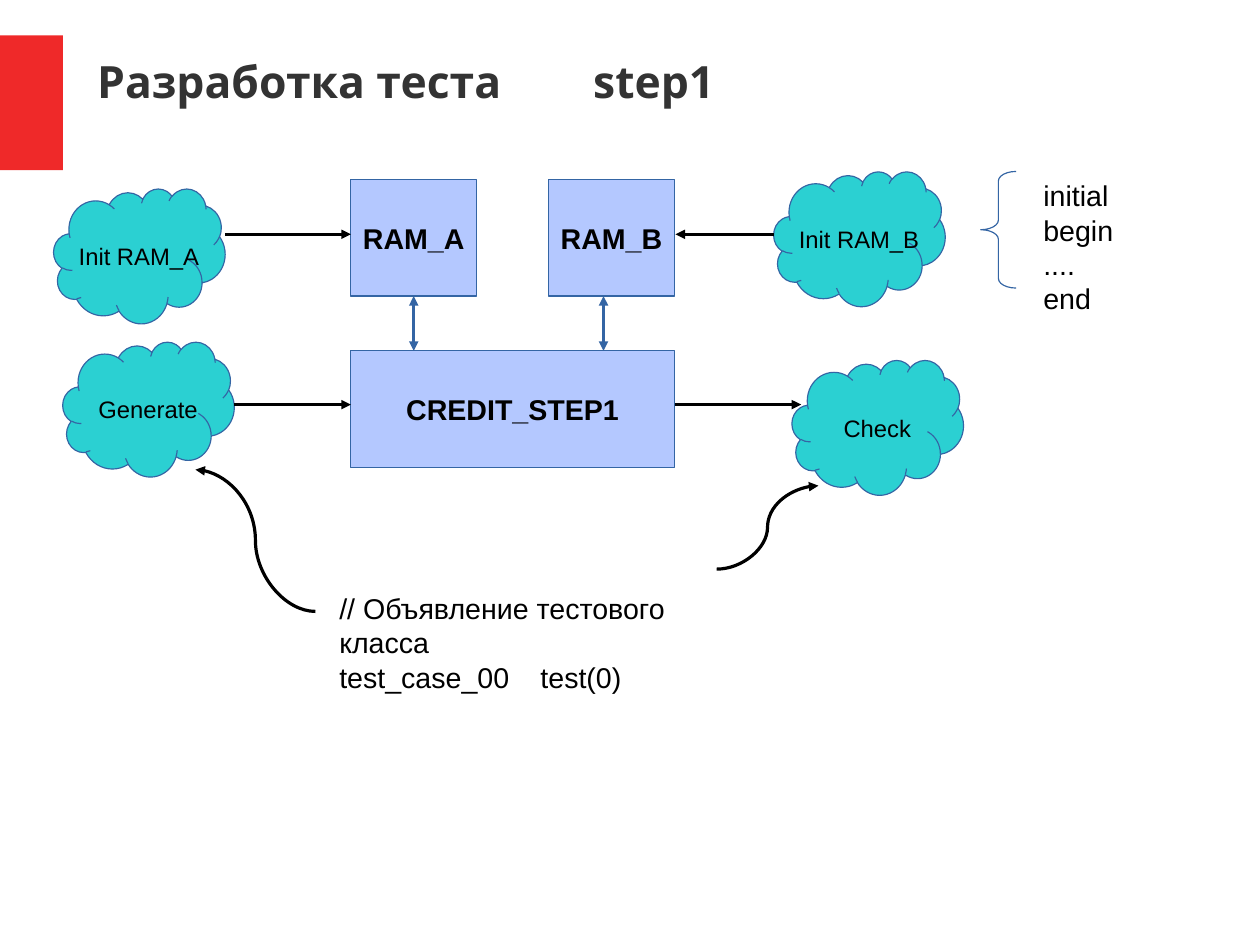
"""Build the slide that shows the test bench of step 1."""
from lxml import etree
from pptx import Presentation
from pptx.dml.color import RGBColor
from pptx.enum.shapes import MSO_CONNECTOR, MSO_SHAPE
from pptx.enum.text import MSO_ANCHOR, MSO_AUTO_SIZE, PP_ALIGN
from pptx.oxml.ns import qn
from pptx.util import Cm, Inches, Pt

RECT, CLOUD, BRACE = MSO_SHAPE.RECTANGLE, MSO_SHAPE.CLOUD, MSO_SHAPE.LEFT_BRACE
STRAIGHT, CURVE = MSO_CONNECTOR.STRAIGHT, MSO_CONNECTOR.CURVE
MIDDLE, LEFT, CENTER = MSO_ANCHOR.MIDDLE, PP_ALIGN.LEFT, PP_ALIGN.CENTER
NO_FIT = MSO_AUTO_SIZE.NONE
RED = RGBColor(0xEF, 0x29, 0x29)
GRAY = RGBColor(0x33, 0x33, 0x33)
BLUE = RGBColor(0xB4, 0xC8, 0xFF)
EDGE = RGBColor(0x34, 0x65, 0xA4)
TEAL = RGBColor(0x2B, 0xD0, 0xD2)
BLACK = RGBColor(0, 0, 0)
HAIR = Pt(0)
BOTTOM = 2


def add_run(para, text, size, bold=False, color=BLACK, font="Arial"):
    run = para.add_run()
    run.text = text
    run.font.name = font
    run.font.size = Pt(size)
    run.font.bold = bold
    run.font.color.rgb = color


def set_tab(para, pos):
    tabs = etree.SubElement(para._p.get_or_add_pPr(), qn("a:tabLst"))
    etree.SubElement(tabs, qn("a:tab"), pos=str(Inches(pos)), algn="l")


def set_pads(frame, left, top, right, bottom):
    frame.margin_left, frame.margin_top = Inches(left), Inches(top)
    frame.margin_right, frame.margin_bottom = Inches(right), Inches(bottom)


def add_title(slide):
    title = slide.shapes.title
    title.left, title.top = Inches(0.85), Inches(0.39)
    title.width, title.height = Inches(9.68), Inches(0.63)
    frame = title.text_frame
    frame.auto_size = NO_FIT
    frame.vertical_anchor = MIDDLE
    set_pads(frame, 0, 0, 0, 0)
    para = frame.paragraphs[0]
    para.alignment = LEFT
    set_tab(para, 4.34)
    add_run(para, "Разработка теста\tstep1", 28, True, GRAY, "Open Sans")


def add_form(slide, kind, left, top, width, height, fill=None, line=EDGE):
    form = slide.shapes.add_shape(
        kind, Inches(left), Inches(top), Inches(width), Inches(height))
    form.shadow.inherit = False
    if fill is None:
        form.fill.background()
    else:
        form.fill.solid()
        form.fill.fore_color.rgb = fill
    if line is None:
        form.line.fill.background()
    else:
        form.line.color.rgb = line
        form.line.width = HAIR
    return form


def add_label(form, text, size, bold=False):
    frame = form.text_frame
    frame.word_wrap = False
    frame.vertical_anchor = MIDDLE
    para = frame.paragraphs[0]
    para.alignment = CENTER
    add_run(para, text, size, bold)


def add_block(slide, text, left, top, width):
    block = add_form(slide, RECT, left, top, width, 1.02, BLUE)
    add_label(block, text, 18, True)
    return block


def add_cloud(slide, text, left, top):
    cloud = add_form(slide, CLOUD, left, top, 1.5, 1.18, TEAL)
    add_label(cloud, text, 15)
    set_pads(cloud.text_frame, 0.1, 0.06, 0, 0)


def add_arrow(slide, start, end, kind=STRAIGHT, color=BLACK, both=False):
    x, y = start
    arrow = slide.shapes.add_connector(
        kind, Inches(x), Inches(y), Inches(end[0]), Inches(end[1]))
    arrow.line.color.rgb = color
    arrow.line.width = HAIR
    line = arrow.line._ln
    if both:
        etree.SubElement(line, qn("a:headEnd"), type="triangle")
    etree.SubElement(line, qn("a:tailEnd"), type="triangle")
    etree.SubElement(arrow._element.spPr, qn("a:effectLst"))
    return arrow


def add_note(slide, lines, left, top, width, height, tab=None):
    box = slide.shapes.add_textbox(
        Inches(left), Inches(top), Inches(width), Inches(height))
    frame = box.text_frame
    frame.word_wrap = True
    for i, text in enumerate(lines):
        para = frame.add_paragraph() if i else frame.paragraphs[0]
        if tab and "\t" in text:
            set_tab(para, tab)
        add_run(para, text, 18)


def main():
    deck = Presentation()
    deck.slide_width, deck.slide_height = Cm(28), Cm(21)
    slide = deck.slides.add_slide(deck.slide_layouts[5])
    add_form(slide, RECT, 0, 0.31, 0.55, 1.18, RED, None)
    add_title(slide)

    ram = add_block(slide, "RAM_A", 3.07, 1.57, 1.1)
    add_block(slide, "RAM_B", 4.8, 1.57, 1.1)
    add_block(slide, "CREDIT_STEP1", 3.07, 3.07, 2.83)

    for text, left, top in (
        ("Init RAM_A", 0.47, 1.65),
        ("Init RAM_B", 6.77, 1.5),
        ("Generate", 0.55, 2.99),
        ("Check", 6.93, 3.15),
    ):
        add_cloud(slide, text, left, top)

    for start, end, y in (
        (2.05, 3.07, 3.54),
        (1.97, 3.07, 2.05),
        (6.77, 5.91, 2.05),
        (5.91, 7.01, 3.54),
    ):
        add_arrow(slide, (start, y), (end, y))
    link = add_arrow(slide, (3.62, 2.59), (3.62, 3.07), color=EDGE, both=True)
    link.begin_connect(ram, BOTTOM)
    add_arrow(slide, (5.28, 2.59), (5.28, 3.07), color=EDGE, both=True)
    add_arrow(slide, (2.76, 5.35), (1.71, 4.11), CURVE)
    add_arrow(slide, (6.27, 4.98), (7.16, 4.25), CURVE)

    brace = add_form(slide, BRACE, 8.58, 1.5, 0.31, 1.02)
    brace.adjustments[0] = 0.27
    add_note(slide, ("initial begin", "....", "end"), 9.03, 1.51, 1.44, 0.93)
    add_note(slide, ("// Объявление тестового класса", "test_case_00\ttest(0)"),
             2.87, 5.12, 3.85, 0.65, 1.76)
    deck.save("out.pptx")


if __name__ == "__main__":
    main()
